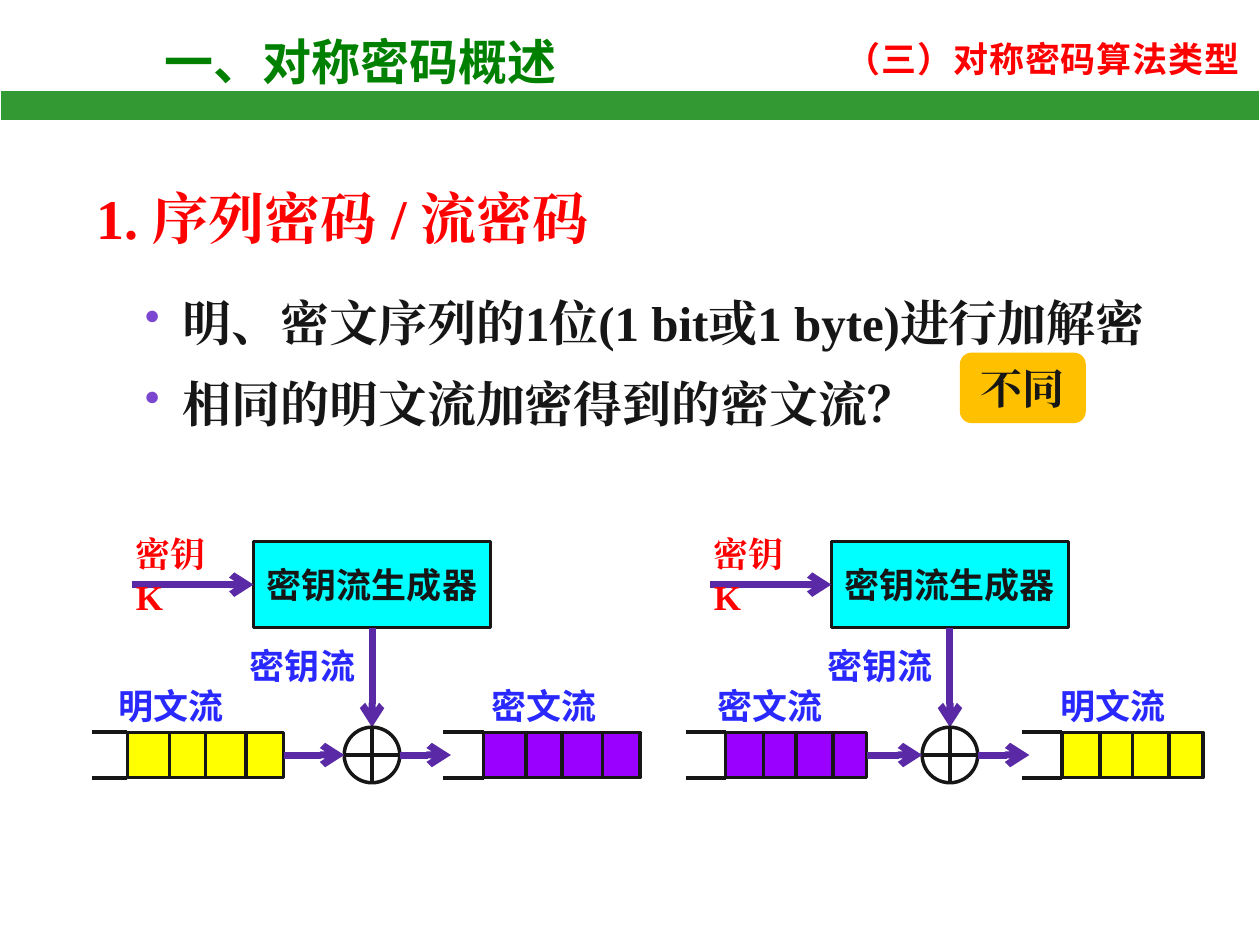
import pptx
import pptx.util
import pptx.dml.color
import pptx.enum.shapes
import pptx.enum.text
import pptx.oxml.ns
from lxml import etree

Cm, Pt = pptx.util.Cm, pptx.util.Pt
SHAPE = pptx.enum.shapes.MSO_SHAPE
ALIGN = pptx.enum.text.PP_ALIGN
ANCHOR = pptx.enum.text.MSO_ANCHOR
qn = pptx.oxml.ns.qn

SANS, SERIF = "Noto Sans CJK SC", "Times New Roman"
COLORS = {
    "ink": "161616", "red": "FF0000", "green": "008000", "bar": "339933",
    "blue": "2929FF", "arrow": "5A2AA6", "bullet": "7B46D0", "cyan": "00FFFF",
    "plain": "FFFF00", "cipher": "9900FF", "amber": "FFC000", "white": "FFFFFF",
}
TITLE = "一、对称密码概述"
SECTION = "（三）对称密码算法类型"
HEADING = "1. 序列密码 / 流密码"
POINTS = [("明、密文序列的1位(1 bit或1 byte)进行加解密", 1.0),
          ("相同的明文流加密得到的密文流？", 1.2)]
ANSWER = "不同"
KEY, GENERATOR, KEYSTREAM = "密钥K", "密钥流生成器", "密钥流"
CIPHERS = [
    {"left": 5.11, "tape_width": 3.15,
     "input": ("明文流", "plain", 2.57, 0.71, 3.45),
     "output": ("密文流", "cipher", 9.75, 0.81, 10.97)},
    {"left": 16.76, "tape_width": 2.84,
     "input": ("密文流", "cipher", 14.63, 0.81, 15.52),
     "output": ("明文流", "plain", 21.41, 0.81, 22.43)},
]
DIVIDERS = (0.27, 0.5, 0.76)
GEN_TOP, GEN_WIDTH, GEN_HEIGHT = 10.92, 4.78, 1.73
AXIS, XOR_SIZE, TAPE_HEIGHT = 15.22, 1.12, 0.91
LABEL_WIDTH, LABEL_HEIGHT = 2.64, 1.12


def rgb(color):
    return pptx.dml.color.RGBColor.from_string(COLORS[color])


def style(paragraph, size, color, font):
    for run in paragraph.runs:
        run.font.size = Pt(size)
        run.font.bold = True
        run.font.color.rgb = rgb(color)
        run.font.name = font
        etree.SubElement(run.font._element, qn("a:ea"), typeface=font)


def write(holder, text, size, color, font=SANS, align=ALIGN.CENTER,
          anchor=ANCHOR.MIDDLE, wrap=False):
    frame = holder.text_frame
    frame.auto_size = pptx.enum.text.MSO_AUTO_SIZE.NONE
    frame.word_wrap = wrap
    frame.vertical_anchor = anchor
    frame.text = text
    frame.paragraphs[0].alignment = align
    style(frame.paragraphs[0], size, color, font)


def add_text(box, text, size, color, **options):
    holder = slide.shapes.add_textbox(*map(Cm, box))
    write(holder, text, size, color, **options)
    return holder


def add_block(kind, box, fill=None, line=None, width=2):
    block = slide.shapes.add_shape(kind, *map(Cm, box))
    block.shadow.inherit = False
    if fill:
        block.fill.solid()
        block.fill.fore_color.rgb = rgb(fill)
    else:
        block.fill.background()
    if line:
        block.line.color.rgb = rgb(line)
        block.line.width = Pt(width)
    else:
        block.line.fill.background()
    return block


def add_line(x1, y1, x2, y2, color="ink", width=2.0, arrow=False):
    line = slide.shapes.add_connector(
        pptx.enum.shapes.MSO_CONNECTOR.STRAIGHT, *map(Cm, (x1, y1, x2, y2)))
    line.line.color.rgb = rgb(color)
    line.line.width = Pt(width)
    if arrow:
        etree.SubElement(line.line._get_or_add_ln(), qn("a:tailEnd"), type="arrow")
    etree.SubElement(line._element.spPr, qn("a:effectLst"))
    return line


def add_arrow(x1, y1, x2, y2):
    return add_line(x1, y1, x2, y2, "arrow", 4, True)


def add_label(center, top, text):
    add_text((center - LABEL_WIDTH / 2, top, LABEL_WIDTH, LABEL_HEIGHT), text, 20, "blue")


def add_tape(stream, width):
    text, fill, left, lead, center = stream
    top, bottom = AXIS - TAPE_HEIGHT / 2, AXIS + TAPE_HEIGHT / 2
    tape = add_block(SHAPE.RECTANGLE, (left, top, width, TAPE_HEIGHT), fill, "ink")
    for fraction in DIVIDERS:
        x = left + width * fraction
        add_line(x, top, x, bottom)
    for y in (top, bottom):
        add_line(left, y, left - lead, y, width=2.25)
    add_label(center, 13.67, text)
    return tape


def add_cipher(cipher):
    left, width = cipher["left"], cipher["tape_width"]
    middle, radius = left + GEN_WIDTH / 2, XOR_SIZE / 2
    key_y = GEN_TOP + GEN_HEIGHT / 2
    generator = add_block(SHAPE.RECTANGLE, (left, GEN_TOP, GEN_WIDTH, GEN_HEIGHT),
                          "cyan", "ink")
    write(generator, GENERATOR, 20, "ink")
    add_arrow(left - 2.44, key_y, left, key_y).end_connect(generator, 1)
    add_text((left - 2.62, 10.62, 2.3, LABEL_HEIGHT), KEY, 20, "red", font=SERIF,
             align=ALIGN.LEFT, anchor=ANCHOR.TOP, wrap=True)
    add_arrow(middle, GEN_TOP + GEN_HEIGHT, middle,
              AXIS - radius).begin_connect(generator, 3 - 1)
    add_label(left + 0.99, 12.85, KEYSTREAM)
    source = add_tape(cipher["input"], width)
    add_tape(cipher["output"], width)
    add_block(SHAPE.FLOWCHART_OR, (middle - radius, AXIS - radius, XOR_SIZE, XOR_SIZE),
              line="ink")
    add_arrow(cipher["input"][2] + width, AXIS, middle - radius,
              AXIS).begin_connect(source, 3)
    rail_start = cipher["output"][2] - cipher["output"][3]
    add_arrow(middle + radius, AXIS, rail_start + 0.15, AXIS)


def add_points():
    frame = slide.shapes.add_textbox(Cm(0.43), Cm(3.3), Cm(24.13), Cm(13.2)).text_frame
    frame.word_wrap = True
    heading = frame.paragraphs[0]
    heading.text = HEADING
    heading._p.get_or_add_pPr().set("marL", str(Cm(1.27)))
    heading.line_spacing = 1.2
    heading.space_after = Pt(18)
    style(heading, 32, "red", SERIF)
    for text, spacing in POINTS:
        point = frame.add_paragraph()
        point.text = text
        props = point._p.get_or_add_pPr()
        props.set("marL", str(Cm(3)))
        props.set("indent", str(Cm(-0.76)))
        bullet_color = etree.SubElement(props, qn("a:buClr"))
        etree.SubElement(bullet_color, qn("a:srgbClr"), val=COLORS["bullet"])
        etree.SubElement(props, qn("a:buSzPct"), val="90000")
        etree.SubElement(props, qn("a:buChar"), char="•")
        point.line_spacing = spacing
        point.space_before = Pt(6)
        style(point, 28, "ink", SERIF)


deck = pptx.Presentation()
deck.slide_width, deck.slide_height = Cm(25.4), Cm(19.05)
slide = deck.slides.add_slide(deck.slide_layouts[5])

title = slide.shapes.title
title.left, title.top, title.width, title.height = map(Cm, (3.07, 0.51, 11.35, 1.45))
write(title, TITLE, 28, "green", align=ALIGN.LEFT, wrap=True)
section = add_text((16.79, 0.61, 8.53, 1.12), SECTION, 20, "red", align=ALIGN.LEFT)
section.text_frame.paragraphs[0].runs[0].font._element.set("spc", "50")
add_block(SHAPE.RECTANGLE, (0, 1.83, 25.4, 0.61), "bar", "white", 0.75)
add_points()
answer = add_block(SHAPE.ROUNDED_RECTANGLE, (19.35, 7.11, 2.54, 1.42), "amber")
write(answer, ANSWER, 24, "ink", font=SERIF)
for cipher in CIPHERS:
    add_cipher(cipher)

deck.save("out.pptx")
